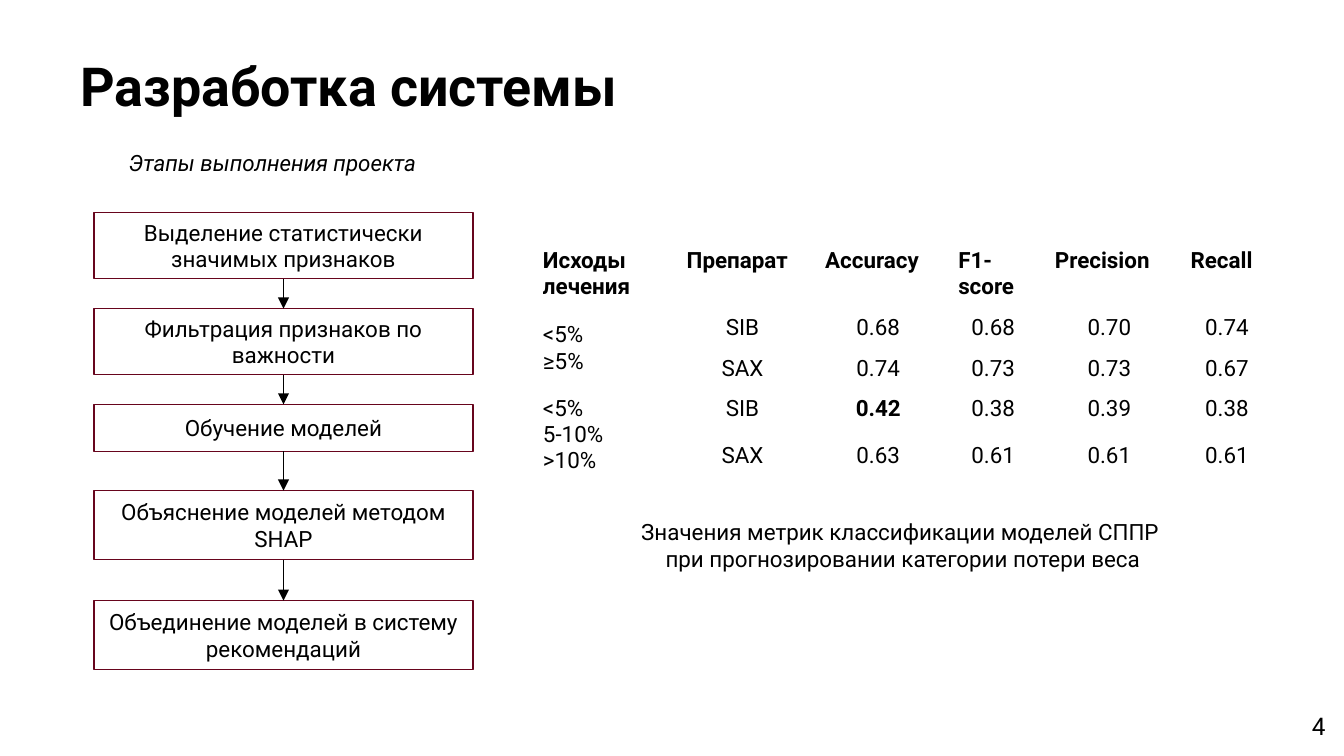
from lxml import etree
from pptx import Presentation
from pptx.dml.color import RGBColor
from pptx.enum.shapes import MSO_CONNECTOR, MSO_SHAPE
from pptx.enum.text import MSO_ANCHOR, PP_ALIGN
from pptx.oxml.ns import qn
from pptx.util import Pt

BLACK = RGBColor(0x00, 0x00, 0x00)
WINE = RGBColor(0x67, 0x05, 0x1D)
LEFT, MID, RIGHT = PP_ALIGN.LEFT, PP_ALIGN.CENTER, PP_ALIGN.RIGHT
TOP, CENTER = MSO_ANCHOR.TOP, MSO_ANCHOR.MIDDLE
RECT, LINE = MSO_SHAPE.RECTANGLE, MSO_CONNECTOR.STRAIGHT

STEPS = [
    ("Выделение статистически значимых признаков", 113.8, 35.5),
    ("Фильтрация признаков по важности", 165.3, 35.5),
    ("Обучение моделей", 216.7, 25.2),
    ("Объяснение моделей методом SHAP", 262.8, 37),
    ("Объединение моделей в систему рекомендаций", 321.8, 37),
]
HEAD = ["Исходы лечения", "Препарат", "Accuracy", "F1-score", "Precision", "Recall"]
SCORES = [
    ["SIB", "0.68", "0.68", "0.70", "0.74"],
    ["SAX", "0.74", "0.73", "0.73", "0.67"],
    ["SIB", "0.42", "0.38", "0.39", "0.38"],
    ["SAX", "0.63", "0.61", "0.61", "0.61"],
]
GROUPS = [(1, "<5%\n≥5%", CENTER), (3, "<5%\v5-10%\v>10%", TOP)]
WIDTHS = [77, 74.2, 71.3, 51.8, 72.7, 53.3]
HEIGHTS = [35.3, 21.3, 21.3, 21.3, 28.1]
BEST = "0.42"


class Deck:
    """Hold the style and the current slide, and add elements in points."""

    font = "Roboto"
    size = 12
    edge = 0.75

    def __init__(self, wide, high):
        self.prs = Presentation()
        self.prs.slide_width, self.prs.slide_height = Pt(wide), Pt(high)
        self.slide = self.prs.slides.add_slide(self.prs.slide_layouts[6])

    def fill_text(self, frame, text, align=LEFT, size=None, bold=False, italic=False):
        frame.text = text
        for para in frame.paragraphs:
            para.alignment = align
            for run in para.runs:
                font = run.font
                font.name, font.size = self.font, Pt(size or self.size)
                font.bold, font.italic = bold, italic
                font.color.rgb = BLACK

    def label(self, text, x, y, w, h, wrap=True, anchor=TOP, **style):
        frame = self.slide.shapes.add_textbox(Pt(x), Pt(y), Pt(w), Pt(h)).text_frame
        frame.word_wrap = wrap
        frame.vertical_anchor = anchor
        self.fill_text(frame, text, **style)
        return frame

    def box(self, text, x, y, w, h):
        box = self.slide.shapes.add_shape(RECT, Pt(x), Pt(y), Pt(w), Pt(h))
        box.shadow.inherit = False
        box.fill.background()
        box.line.color.rgb, box.line.width = WINE, Pt(self.edge)
        box.text_frame.word_wrap = True
        box.text_frame.vertical_anchor = CENTER
        self.fill_text(box.text_frame, text, MID)

    def arrow(self, x, start, end):
        link = self.slide.shapes.add_connector(LINE, Pt(x), Pt(start), Pt(x), Pt(end))
        link.line.color.rgb, link.line.width = BLACK, Pt(self.edge)
        props = link.element.spPr
        etree.SubElement(props.find(qn("a:ln")), qn("a:tailEnd"), type="triangle")
        etree.SubElement(props, qn("a:effectLst"))

    def cell(self, cell, text, anchor=CENTER, **style):
        cell.vertical_anchor = anchor
        self.fill_text(cell.text_frame, text, **style)

    def table(self, x, y):
        grid = self.slide.shapes.add_table(
            len(HEIGHTS), len(WIDTHS), Pt(x), Pt(y), Pt(sum(WIDTHS)), Pt(sum(HEIGHTS))
        ).table
        grid.first_row = grid.horz_banding = False
        for col, width in zip(grid.columns, WIDTHS):
            col.width = Pt(width)
        for row, height in zip(grid.rows, HEIGHTS):
            row.height = Pt(height)
        for cell in grid.iter_cells():
            cell.fill.background()
        for c, text in enumerate(HEAD):
            self.cell(grid.cell(0, c), text, TOP, bold=True)
        for r, text, anchor in GROUPS:
            grid.cell(r, 0).merge(grid.cell(r + 1, 0))
            self.cell(grid.cell(r, 0), text, anchor)
        for r, row in enumerate(SCORES, 1):
            for c, text in enumerate(row, 1):
                self.cell(grid.cell(r, c), text, align=MID, bold=text == BEST)


def main():
    deck = Deck(720, 405)
    deck.label("Разработка системы", 36, 24.5, 495.4, 41.8, anchor=CENTER, size=28.8, bold=True)
    page = deck.label("4", 673.9, 373.7, 43.2, 31, align=RIGHT, size=13)
    page.margin_top = page.margin_bottom = Pt(7.2)
    deck.table(283.7, 128.9)
    deck.label(
        "Значения метрик классификации моделей СППР \vпри прогнозировании категории потери веса",
        328.3, 274.3, 311, 36, wrap=False, align=MID,
    )
    for text, y, h in STEPS:
        deck.box(text, 50.4, y, 203, h)
    for (_, y, h), (_, end, _) in zip(STEPS, STEPS[1:]):
        deck.arrow(151.9, y + h, end)
    deck.label("Этапы выполнения проекта", 61.9, 76.3, 180, 21.6, wrap=False, italic=True)
    deck.prs.save("out.pptx")


if __name__ == "__main__":
    main()
